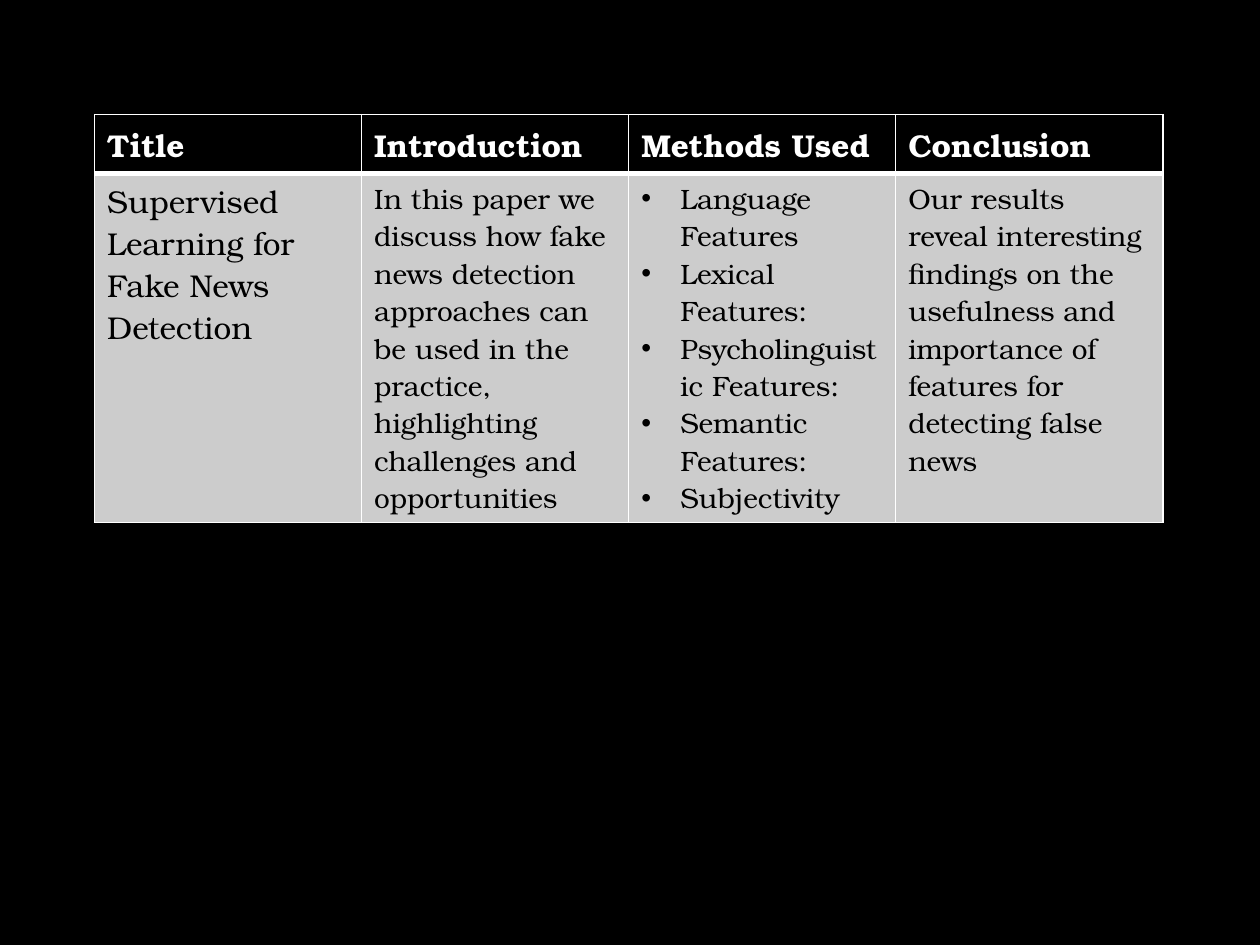
import dataclasses

import pptx
import pptx.dml.color
import pptx.enum.text
import pptx.oxml.ns
import pptx.util
from lxml import etree


@dataclasses.dataclass(frozen=True)
class Theme:
    font: str = "TeX Gyre Bonum"
    black: str = "000000"
    white: str = "FFFFFF"
    grey: str = "CCCCCC"
    large: int = 18
    small: int = 16
    thin: int = 1
    thick: int = 3


THEME = Theme()
SLIDE_WIDTH, SLIDE_HEIGHT = 10, 7.5
TABLE_LEFT, TABLE_TOP = 0.75, 0.91
COLUMN_WIDTH = 2.12
ROW_HEIGHTS = (0.46, 2.77)
BULLET_INDENT = 0.31

HEADERS = ("Title", "Introduction", "Methods Used", "Conclusion")
# Each body cell: type size, bulleted or not, paragraphs
BODY = (
    (THEME.large, False, ["Supervised Learning for Fake News Detection"]),
    (THEME.small, False, [
        "In this paper we discuss how fake news detection approaches can be "
        "used in the practice, highlighting challenges and opportunities"]),
    (THEME.small, True, [
        "Language Features", "Lexical Features:", "Psycholinguistic Features:",
        "Semantic Features:", "Subjectivity"]),
    (THEME.small, False, [
        "Our results reveal interesting findings on the usefulness and "
        "importance of features for detecting false news"]),
)


def rgb(color):
    return pptx.dml.color.RGBColor.from_string(color)


def add_child(parent, tag, **attributes):
    child = etree.SubElement(parent, pptx.oxml.ns.qn(tag))
    for name, value in attributes.items():
        child.set(name, str(value))
    return child


def set_borders(cell, top, bottom):
    properties = cell._tc.get_or_add_tcPr()
    widths = {"L": THEME.thin, "R": THEME.thin, "T": top, "B": bottom}
    for side, width in widths.items():
        line = add_child(properties, f"a:ln{side}", w=pptx.util.Pt(width))
        fill = add_child(line, "a:solidFill")
        add_child(fill, "a:srgbClr", val=THEME.white)


def set_bullet(paragraph):
    indent = pptx.util.Inches(BULLET_INDENT)
    properties = paragraph._p.get_or_add_pPr()
    properties.set("marL", str(indent))
    properties.set("indent", str(-indent))
    add_child(properties, "a:buFont", typeface="Arial")
    add_child(properties, "a:buChar", char="•")


def write_cell(cell, texts, size, color, bold=False, bulleted=False):
    frame = cell.text_frame
    for index, text in enumerate(texts):
        paragraph = frame.add_paragraph() if index else frame.paragraphs[0]
        if bulleted:
            set_bullet(paragraph)
        run = paragraph.add_run()
        run.text = text
        run.font.name = THEME.font
        run.font.size = pptx.util.Pt(size)
        run.font.bold = bold
        run.font.color.rgb = rgb(color)


def fill_cell(cell, color):
    cell.fill.solid()
    cell.fill.fore_color.rgb = rgb(color)


def add_summary_table(slide):
    table = slide.shapes.add_table(
        len(ROW_HEIGHTS), len(HEADERS),
        pptx.util.Inches(TABLE_LEFT), pptx.util.Inches(TABLE_TOP),
        pptx.util.Inches(COLUMN_WIDTH * len(HEADERS)),
        pptx.util.Inches(sum(ROW_HEIGHTS))).table
    for row, height in zip(table.rows, ROW_HEIGHTS):
        row.height = pptx.util.Inches(height)

    for column, (header, (size, bulleted, texts)) in enumerate(zip(HEADERS, BODY)):
        # Header row
        cell = table.cell(0, column)
        set_borders(cell, THEME.thin, THEME.thick)
        fill_cell(cell, THEME.black)
        cell.vertical_anchor = pptx.enum.text.MSO_ANCHOR.MIDDLE
        write_cell(cell, [header], THEME.large, THEME.white, bold=True)

        # Body row
        cell = table.cell(1, column)
        set_borders(cell, THEME.thick, THEME.thin)
        fill_cell(cell, THEME.grey)
        write_cell(cell, texts, size, THEME.black, bulleted=bulleted)


def main():
    presentation = pptx.Presentation()
    presentation.slide_width = pptx.util.Inches(SLIDE_WIDTH)
    presentation.slide_height = pptx.util.Inches(SLIDE_HEIGHT)
    slide = presentation.slides.add_slide(presentation.slide_layouts[6])
    slide.background.fill.solid()
    slide.background.fill.fore_color.rgb = rgb(THEME.black)
    add_summary_table(slide)
    presentation.save("out.pptx")


if __name__ == "__main__":
    main()
